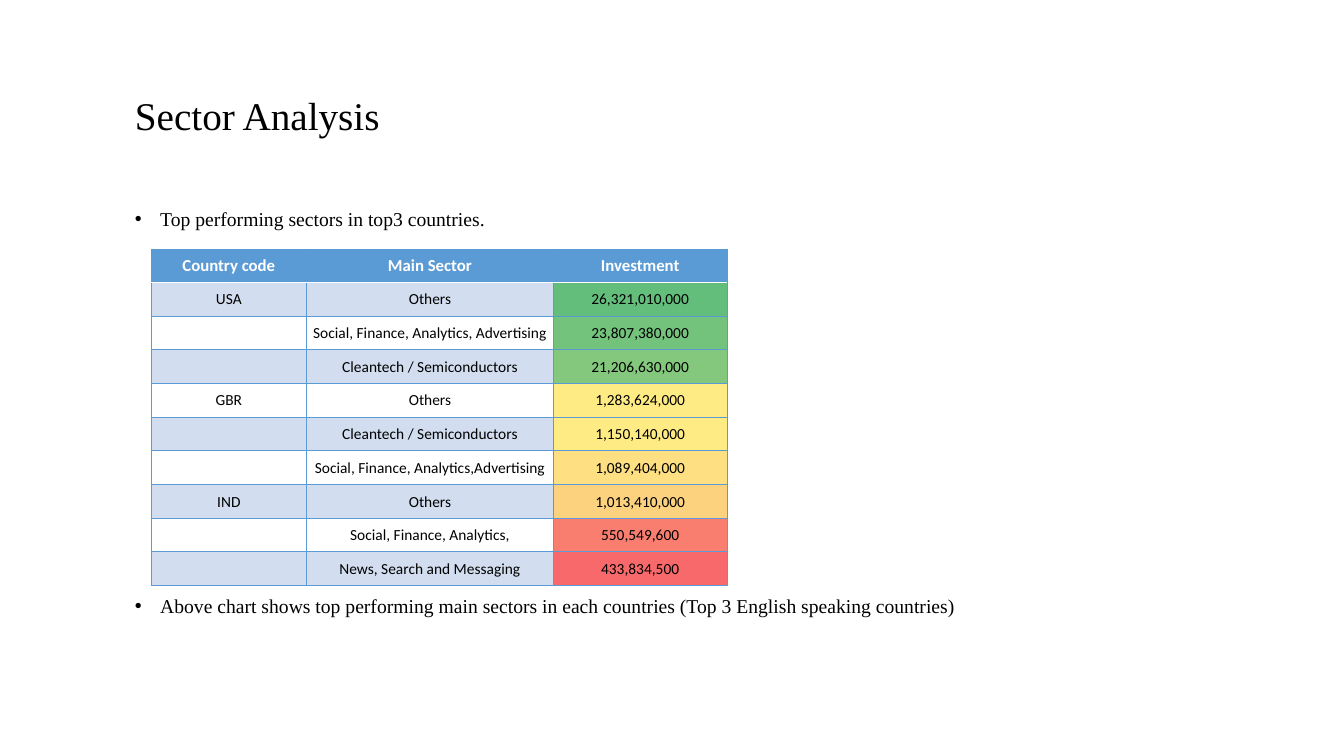
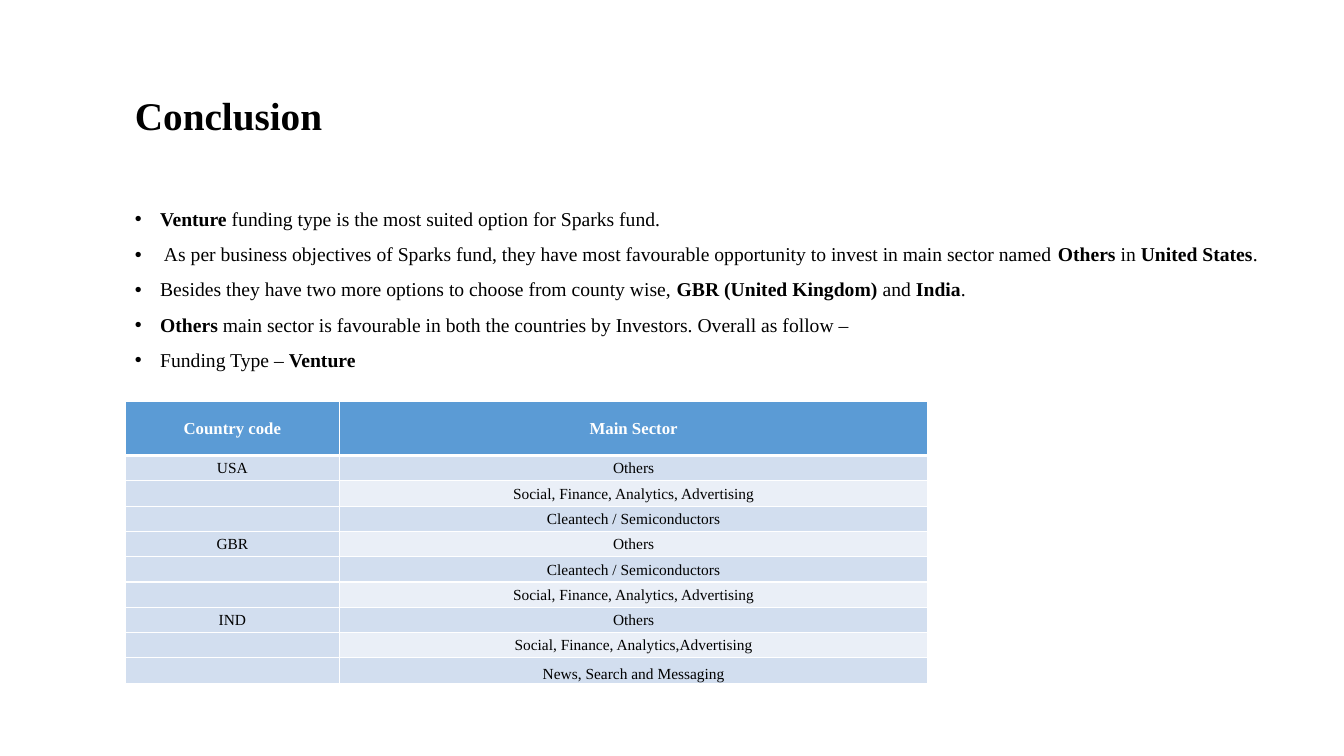
from dataclasses import dataclass

from lxml import etree
from pptx import Presentation
from pptx.dml.color import RGBColor
from pptx.enum.text import MSO_ANCHOR, PP_ALIGN
from pptx.oxml.ns import qn
from pptx.util import Inches, Pt

TOP, MIDDLE, BOTTOM = MSO_ANCHOR.TOP, MSO_ANCHOR.MIDDLE, MSO_ANCHOR.BOTTOM
CENTER = PP_ALIGN.CENTER
BLANK_LAYOUT = 6


@dataclass(frozen=True)
class Theme:
    text: str = "000000"
    white: str = "FFFFFF"
    accent: str = "5B9BD5"
    band: str = "D2DEEF"
    pale_band: str = "EAEFF7"
    serif: str = "Times New Roman"
    sans: str = "Calibri"
    title_size: int = 28
    body_size: int = 14
    header_size: int = 12
    cell_size: int = 11
    line_spacing: float = 0.9
    bullet_gap: int = 10
    bullet_indent: float = 0.25
    left: float = 1.24
    title_top: float = 0.7
    body_top: float = 2.03
    body_width: float = 11.41


@dataclass(frozen=True)
class TableStyle:
    font: str
    border: str
    border_width: float
    header_rule: float
    plain_fill: str | None


THEME = Theme()
GRID_STYLE = TableStyle(THEME.sans, THEME.accent, 0.5, 1, None)
BANDED_STYLE = TableStyle(THEME.serif, THEME.white, 1, 3, THEME.pale_band)


def style_span(span, font, size, color, bold=False):
    span.font.name = font
    span.font.size = Pt(size)
    span.font.bold = bold
    span.font.color.rgb = RGBColor.from_string(color)


def add_border(cell, side, color, width):
    """Draw one side (L, R, T or B) of a cell; call before filling the cell."""
    line = etree.SubElement(cell._tc.get_or_add_tcPr(), qn(f"a:ln{side}"), w=str(Pt(width)))
    fill = etree.SubElement(line, qn("a:solidFill"))
    etree.SubElement(fill, qn("a:srgbClr"), val=color)


def add_bullet(para):
    indent = Inches(THEME.bullet_indent)
    properties = para._p.get_or_add_pPr()
    properties.set("marL", str(indent))
    properties.set("indent", str(-indent))
    etree.SubElement(properties, qn("a:buFont"), typeface="Arial")
    etree.SubElement(properties, qn("a:buChar"), char="•")


class DeckBuilder:
    def __init__(self):
        self.deck = Presentation()
        self.deck.slide_width = Inches(13.33)
        self.deck.slide_height = Inches(7.5)
        self.page = None

    def add_page(self, title, bold=False):
        self.page = self.deck.slides.add_slide(self.deck.slide_layouts[BLANK_LAYOUT])
        frame = self.add_frame(THEME.title_top, 10.19, 0.94, MIDDLE)
        para = frame.paragraphs[0]
        para.text = title
        para.line_spacing = THEME.line_spacing
        style_span(para.runs[0], THEME.serif, THEME.title_size, THEME.text, bold)

    def add_frame(self, top, width, height, anchor):
        box = self.page.shapes.add_textbox(
            Inches(THEME.left), Inches(top), Inches(width), Inches(height))
        frame = box.text_frame
        frame.word_wrap = True
        frame.vertical_anchor = anchor
        return frame

    def add_bullets(self, top, height, lines):
        """Add one bullet a line; text between double asterisks is bold."""
        frame = self.add_frame(top, THEME.body_width, height, TOP)
        for index, line in enumerate(lines):
            para = frame.add_paragraph() if index else frame.paragraphs[0]
            para.line_spacing = THEME.line_spacing
            para.space_before = Pt(THEME.bullet_gap if index else 0)
            add_bullet(para)
            for part, text in enumerate(line.split("**")):
                if text:
                    span = para.add_run()
                    span.text = text
                    style_span(span, THEME.serif, THEME.body_size, THEME.text, part % 2 == 1)

    def add_table(self, left, top, widths, height, header_height, rows, style, heat=()):
        """Add a table; heat lists the last column's fills below the header."""
        frame = self.page.shapes.add_table(
            len(rows), len(widths), Inches(left), Inches(top),
            Inches(sum(widths)), Inches(height))
        table = frame.table
        table.first_row = table.horz_banding = False
        for column, width in zip(table.columns, widths):
            column.width = Inches(width)
        row_height = (height - header_height) / (len(rows) - 1)
        for row_index, values in enumerate(rows):
            table.rows[row_index].height = Inches(row_height if row_index else header_height)
            for column_index, value in enumerate(values):
                if row_index == 0:
                    fill = THEME.accent
                elif heat and column_index == len(values) - 1:
                    fill = heat[row_index - 1]
                elif row_index % 2 or (style.plain_fill and column_index == 0):
                    fill = THEME.band
                else:
                    fill = style.plain_fill
                self.set_cell(table.cell(row_index, column_index), value, row_index, fill, style)
        return table

    def set_cell(self, cell, value, row_index, fill, style):
        cell.margin_left = cell.margin_right = cell.margin_top = Inches(0.01)
        cell.margin_bottom = 0
        cell.vertical_anchor = MIDDLE
        rule_side = {0: "B", 1: "T"}.get(row_index)
        for side in "LRTB":
            if side == rule_side:
                add_border(cell, side, THEME.white, style.header_rule)
            else:
                add_border(cell, side, style.border, style.border_width)
        if fill:
            cell.fill.solid()
            cell.fill.fore_color.rgb = RGBColor.from_string(fill)
        else:
            cell.fill.background()
        para = cell.text_frame.paragraphs[0]
        para.alignment = CENTER
        if not value:
            etree.SubElement(para._p, qn("a:endParaRPr"), sz=str(THEME.cell_size * 100))
            return
        para.text = value
        if row_index == 0:
            style_span(para.runs[0], style.font, THEME.header_size, THEME.white, True)
        else:
            style_span(para.runs[0], style.font, THEME.cell_size, THEME.text)


def add_sector_analysis(builder):
    builder.add_page("Sector Analysis")
    builder.add_bullets(THEME.body_top, 0.4, ["Top performing sectors in top3 countries."])
    builder.add_bullets(5.87, 0.4, [
        "Above chart shows top performing main sectors in each countries "
        "(Top 3 English speaking countries)"])
    rows = [
        ("Country code", "Main Sector", "Investment"),
        ("USA", "Others", "26,321,010,000"),
        ("", "Social, Finance, Analytics, Advertising", "23,807,380,000"),
        ("", "Cleantech / Semiconductors", "21,206,630,000"),
        ("GBR", "Others", "1,283,624,000"),
        ("", "Cleantech / Semiconductors", "1,150,140,000"),
        ("", "Social, Finance, Analytics,Advertising", "1,089,404,000"),
        ("IND", "Others", "1,013,410,000"),
        ("", "Social, Finance, Analytics,", "550,549,600"),
        ("", "News, Search and Messaging", "433,834,500"),
    ]
    heat = ["63BE7B", "73C37C", "83C87D", "FFEB84", "FFEB84",
            "FEDF81", "FDD27F", "F97E6F", "F8696B"]
    builder.add_table(1.5, 2.47, [1.54, 2.45, 1.72], 3.34, 0.33, rows, GRID_STYLE, heat)


def add_conclusion(builder):
    builder.add_page("Conclusion", bold=True)
    builder.add_bullets(THEME.body_top, 1.85, [
        "**Venture** funding type is the most suited option for Sparks fund.",
        " As per business objectives of Sparks fund, they have most favourable opportunity "
        "to invest in main sector named **Others** in** United States**.",
        "Besides they have two more options to choose from county wise, "
        "**GBR (United Kingdom)** and **India**.",
        "**Others** main sector is favourable in both the countries by Investors. "
        "Overall as follow –",
        "Funding Type – **Venture**",
    ])
    rows = [
        ("Country code", "Main Sector"),
        ("USA", "Others"),
        ("", "Social, Finance, Analytics, Advertising"),
        ("", "Cleantech / Semiconductors"),
        ("GBR", "Others"),
        ("", "Cleantech / Semiconductors"),
        ("", "Social, Finance, Analytics, Advertising"),
        ("IND", "Others"),
        ("", "Social, Finance, Analytics,Advertising"),
        ("", "News, Search and Messaging"),
    ]
    table = builder.add_table(THEME.left, 3.98, [2.13, 5.83], 2.8, 0.54, rows, BANDED_STYLE)
    table.cell(len(rows) - 1, 1).vertical_anchor = BOTTOM


def main():
    builder = DeckBuilder()
    add_sector_analysis(builder)
    add_conclusion(builder)
    builder.deck.save("out.pptx")


if __name__ == "__main__":
    main()
